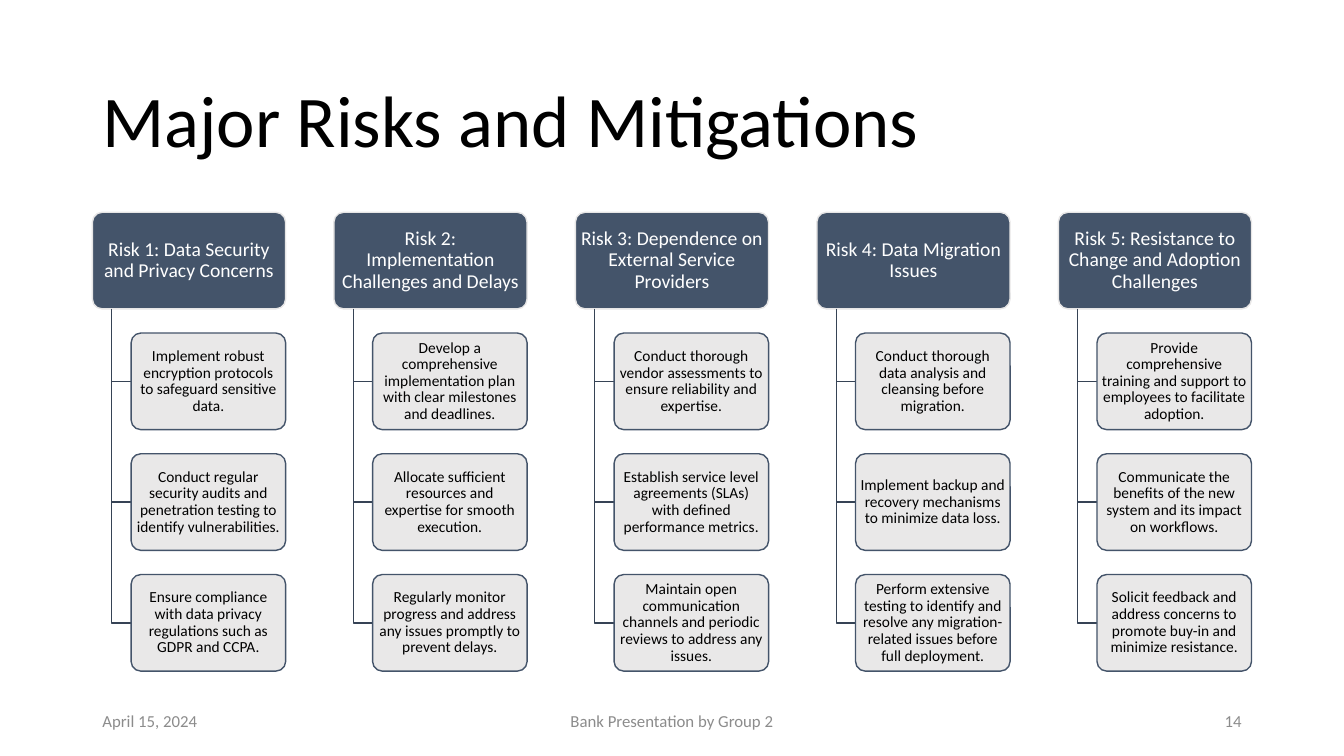
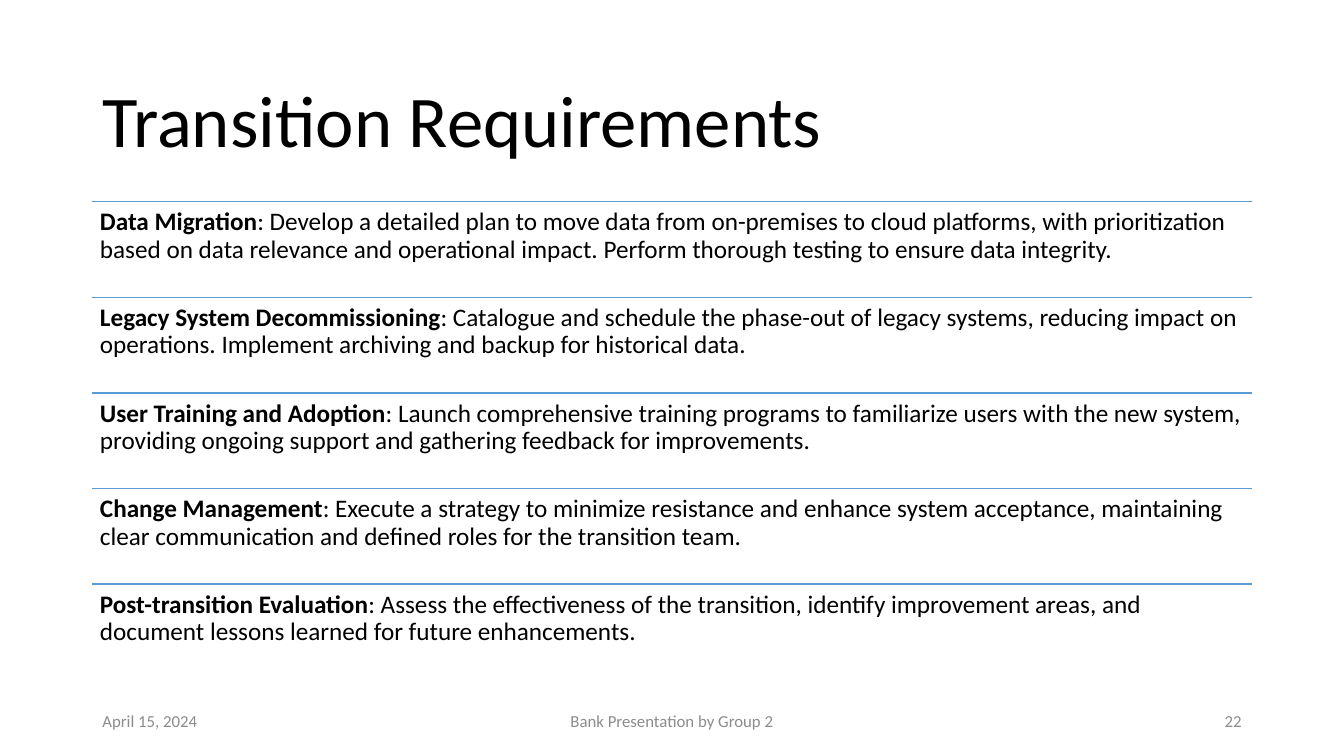
from dataclasses import dataclass

import lxml.etree
import pptx
import pptx.dml.color
import pptx.enum.shapes
import pptx.enum.text
import pptx.oxml.ns
import pptx.util

Cm = pptx.util.Cm
Pt = pptx.util.Pt
RGB = pptx.dml.color.RGBColor.from_string
ALIGN = pptx.enum.text.PP_ALIGN
ANCHOR = pptx.enum.text.MSO_ANCHOR
qn = pptx.oxml.ns.qn


@dataclass(frozen=True)
class Theme:
    font: str = "Calibri"
    ink: str = "000000"
    white: str = "FFFFFF"
    slate: str = "44546A"
    branch: str = "364355"
    pale: str = "E7E6E6"
    rule: str = "5B9BD5"
    muted: str = "8C8C8C"
    title_size: int = 52
    body_size: int = 18
    head_size: int = 14
    card_size: int = 11
    footer_size: int = 12
    line_width: int = 1
    line_spacing: float = 0.9


THEME = Theme()

# Content area, in centimetres
LEFT, WIDTH = 2.33, 29.21

DATE = "April 15, 2024"
FOOTER = "Bank Presentation by Group 2"

RISKS = [
    ("Risk 1: Data Security and Privacy Concerns", [
        "Implement robust encryption protocols to safeguard sensitive data.",
        "Conduct regular security audits and penetration testing to identify vulnerabilities.",
        "Ensure compliance with data privacy regulations such as GDPR and CCPA."]),
    ("Risk 2: Implementation Challenges and Delays", [
        "Develop a comprehensive implementation plan with clear milestones and deadlines.",
        "Allocate sufficient resources and expertise for smooth execution.",
        "Regularly monitor progress and address any issues promptly to prevent delays."]),
    ("Risk 3: Dependence on External Service Providers", [
        "Conduct thorough vendor assessments to ensure reliability and expertise.",
        "Establish service level agreements (SLAs) with defined performance metrics.",
        "Maintain open communication channels and periodic reviews to address any issues."]),
    ("Risk 4: Data Migration Issues", [
        "Conduct thorough data analysis and cleansing before migration.",
        "Implement backup and recovery mechanisms to minimize data loss.",
        "Perform extensive testing to identify and resolve any migration-related issues "
        "before full deployment."]),
    ("Risk 5: Resistance to Change and Adoption Challenges", [
        "Provide comprehensive training and support to employees to facilitate adoption.",
        "Communicate the benefits of the new system and its impact on workflows.",
        "Solicit feedback and address concerns to promote buy-in and minimize resistance."]),
]

REQUIREMENTS = [
    ("Data Migration",
     ": Develop a detailed plan to move data from on-premises to cloud platforms, with "
     "prioritization based on data relevance and operational impact. Perform thorough "
     "testing to ensure data integrity."),
    ("Legacy System Decommissioning",
     ": Catalogue and schedule the phase-out of legacy systems, reducing impact on "
     "operations. Implement archiving and backup for historical data."),
    ("User Training and Adoption",
     ": Launch comprehensive training programs to familiarize users with the new system, "
     "providing ongoing support and gathering feedback for improvements."),
    ("Change Management",
     ": Execute a strategy to minimize resistance and enhance system acceptance, "
     "maintaining clear communication and defined roles for the transition team."),
    ("Post-transition Evaluation",
     ": Assess the effectiveness of the transition, identify improvement areas, and "
     "document lessons learned for future enhancements."),
]


def write(sp, runs, size, color, align=ALIGN.LEFT, anchor=ANCHOR.MIDDLE,
          margins=(0.25, 0.13), spacing=THEME.line_spacing):
    """Fill a shape with one paragraph; runs are (text, bold) pairs."""
    tf = sp.text_frame
    tf.word_wrap = True
    tf.vertical_anchor = anchor
    tf.margin_left = tf.margin_right = Cm(margins[0])
    tf.margin_top = tf.margin_bottom = Cm(margins[1])
    p = tf.paragraphs[0]
    p.alignment = align
    p.line_spacing = spacing
    for text, bold in runs:
        r = p.add_run()
        r.text = text
        r.font.name = THEME.font
        r.font.size = Pt(size)
        r.font.bold = bold
        r.font.color.rgb = RGB(color)


def add_text(s, x, y, w, h, runs, size, color, **style):
    sp = s.shapes.add_textbox(Cm(x), Cm(y), Cm(w), Cm(h))
    write(sp, runs, size, color, **style)


def set_line(sp, color):
    sp.line.color.rgb = RGB(color)
    sp.line.width = Pt(THEME.line_width)


def add_box(s, x, y, w, h, text, size, color, fill, line, margins, opacity=None):
    sp = s.shapes.add_shape(pptx.enum.shapes.MSO_SHAPE.ROUNDED_RECTANGLE,
                            Cm(x), Cm(y), Cm(w), Cm(h))
    sp.shadow.inherit = False
    sp.adjustments[0] = 0.1
    sp.fill.solid()
    sp.fill.fore_color.rgb = RGB(fill)
    if opacity is not None:
        srgb = sp.fill._xPr.find(qn("a:solidFill")).find(qn("a:srgbClr"))
        lxml.etree.SubElement(srgb, qn("a:alpha")).set("val", str(opacity * 1000))
    set_line(sp, line)
    write(sp, [(text, False)], size, color, align=ALIGN.CENTER, margins=margins)


def add_elbow(s, x1, y1, x2, y2):
    """Draw a branch down from the first point, then across to the second."""
    builder = s.shapes.build_freeform(Cm(x1), Cm(y1))
    builder.add_line_segments([(Cm(x1), Cm(y2)), (Cm(x2), Cm(y2))], close=False)
    sp = builder.convert_to_shape()
    sp.shadow.inherit = False
    sp.fill.background()
    set_line(sp, THEME.branch)


def add_rule(s, x, y, w):
    line = s.shapes.add_connector(pptx.enum.shapes.MSO_CONNECTOR.STRAIGHT,
                                  Cm(x), Cm(y), Cm(x + w), Cm(y))
    set_line(line, THEME.rule)
    lxml.etree.SubElement(line._element.spPr, qn("a:effectLst"))


def add_slide(prs, title, number):
    """Add a slide with the shared title and footer."""
    s = prs.slides.add_slide(prs.slide_layouts[6])
    add_text(s, LEFT, 1.55, WIDTH, 3.15, [(title, False)], THEME.title_size, THEME.ink)
    side, middle = 7.62, 11.43
    for x, w, text, align in (
            (LEFT, side, DATE, ALIGN.LEFT),
            (LEFT + (WIDTH - middle) / 2, middle, FOOTER, ALIGN.CENTER),
            (LEFT + WIDTH - side, side, str(number), ALIGN.RIGHT)):
        add_text(s, x, 17.65, w, 1.01, [(text, False)], THEME.footer_size, THEME.muted,
                 align=align, spacing=1.0)
    return s


def add_risk_columns(s, top):
    """Lay out risks and mitigations; every gap is a quarter of a box side."""
    n = len(RISKS)
    w = WIDTH / (n + (n - 1) / 4)
    h = w / 2
    for col, (risk, mitigations) in enumerate(RISKS):
        x = LEFT + col * w * 1.25
        add_box(s, x, top, w, h, risk, THEME.head_size, THEME.white,
                THEME.slate, THEME.pale, (0.07, 0.05))
        for row, mitigation in enumerate(mitigations, start=1):
            y = top + row * h * 1.25
            add_elbow(s, x + w * 0.1, top + h, x + w * 0.2, y + h / 2)
            add_box(s, x + w * 0.2, y, w * 0.8, h, mitigation, THEME.card_size,
                    THEME.ink, THEME.pale, THEME.slate, (0.05, 0.04), opacity=90)


def add_requirement_rows(s, top, pitch):
    for row, (name, detail) in enumerate(REQUIREMENTS):
        y = top + row * pitch
        add_rule(s, LEFT, y, WIDTH)
        add_text(s, LEFT, y, WIDTH, pitch, [(name, True), (detail, False)],
                 THEME.body_size, THEME.ink, anchor=ANCHOR.TOP, margins=(0.19, 0.19))


def main():
    prs = pptx.Presentation()
    prs.slide_width, prs.slide_height = Cm(33.87), Cm(19.05)
    add_risk_columns(add_slide(prs, "Major Risks and Mitigations", 14), top=5.35)
    add_requirement_rows(add_slide(prs, "Transition Requirements", 22), top=5.08, pitch=2.41)
    prs.save("out.pptx")


if __name__ == "__main__":
    main()
